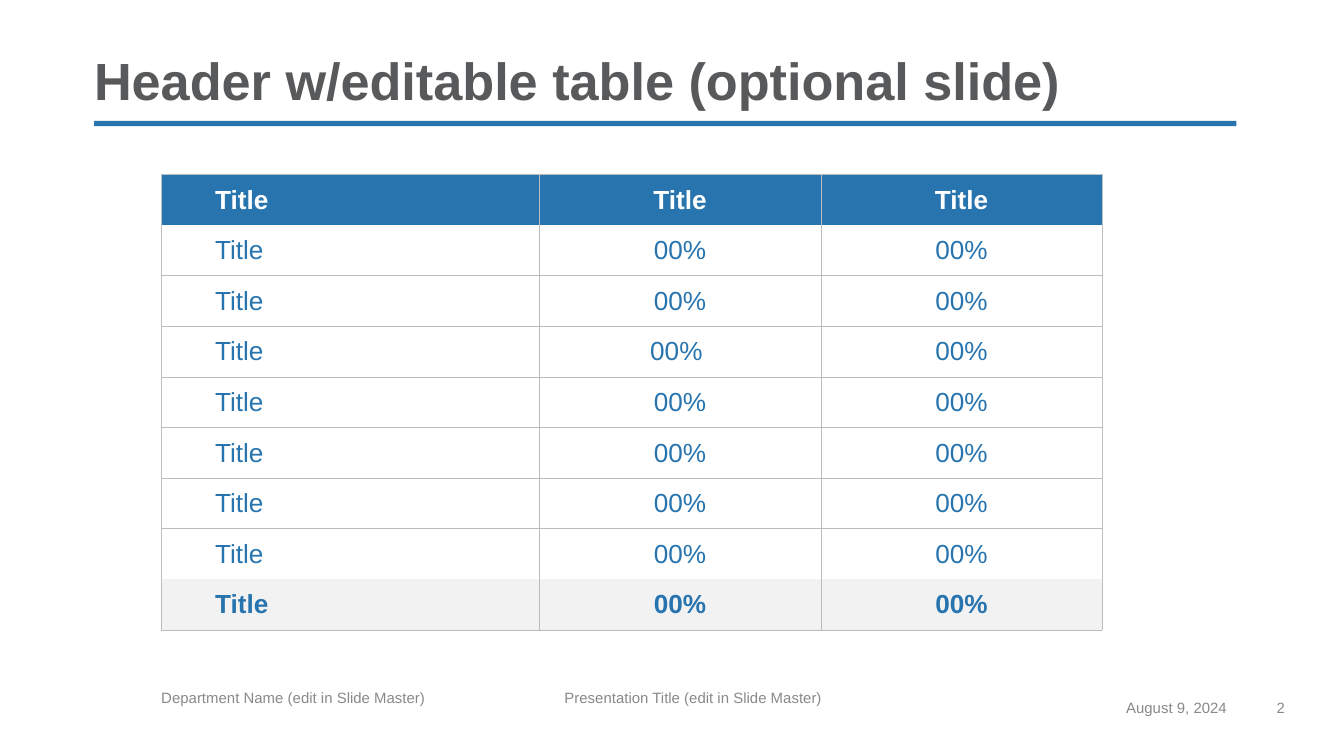
"""Build a slide with a header, an editable table and a footer."""
import pptx
import pptx.dml.color
import pptx.enum.shapes
import pptx.enum.text
import pptx.oxml
import pptx.oxml.ns
import pptx.util

Inches = pptx.util.Inches
Anchor = pptx.enum.text.MSO_ANCHOR
Align = pptx.enum.text.PP_ALIGN
hues = {"blue": "2774AE", "dark": "58595B", "gray": "898989",
        "line": "BBBCBE", "pale": "F2F2F2", "white": "FFFFFF"}


def color(name):
    return pptx.dml.color.RGBColor.from_string(hues[name])


def write(frame, text, size=8, hue="gray", bold=False, align=Align.LEFT, space=None):
    para = frame.paragraphs[0]
    para.alignment = align
    para.line_spacing = space
    run = para.add_run()
    run.text = text
    run.font.name = "Arial"
    run.font.size = pptx.util.Pt(size)
    run.font.bold = bold
    run.font.color.rgb = color(hue)


deck = pptx.Presentation()
deck.slide_width, deck.slide_height = Inches(10), Inches(10 * 9 / 16)
slide = deck.slides.add_slide(deck.slide_layouts[6])

rule = slide.shapes.add_shape(pptx.enum.shapes.MSO_SHAPE.RECTANGLE,
                              Inches(0.7), Inches(0.9), Inches(8.5), Inches(0.04))
rule.shadow.inherit = False
rule.fill.solid()
rule.fill.fore_color.rgb = color("blue")
rule.line.fill.background()

labels = [
    ("Header w/editable table (optional slide)", 0.7, 0.4, 8.5, 0.43,
     dict(size=28, hue="dark", bold=True, space=0.9)),
    ("Department Name (edit in Slide Master)", 1.2, 5.14, 2.9, 0.4, dict(space=0.9)),
    ("Presentation Title (edit in Slide Master)", 4.2, 5.14, 3.8, 0.4, dict(space=0.9)),
    ("August 9, 2024", 8.1, 5.2, 1.03, 0.4, dict(align=Align.RIGHT)),
    ("2", 9.5, 5.2, 0.5, 0.4, {}),
]
for text, left, top, width, height, style in labels:
    box = slide.shapes.add_textbox(Inches(left), Inches(top), Inches(width), Inches(height))
    frame = box.text_frame
    frame.word_wrap = True
    frame.margin_left = frame.margin_right = frame.margin_top = frame.margin_bottom = 0
    frame.vertical_anchor = Anchor.BOTTOM if "size" in style else Anchor.TOP
    write(frame, text, **style)

rows = [["Title"] * 3] + [["Title", "00%", "00%"] for _ in range(8)]
rows[3][1] = "00% "
last = len(rows) - 1
table = slide.shapes.add_table(len(rows), 3, Inches(1.2), Inches(1.3),
                               Inches(7), Inches(3.4)).table
table.first_row = table.horz_banding = False
for col, width in zip(table.columns, (2.81, 2.1, 2.09)):
    col.width = Inches(width)

for r, row in enumerate(rows):
    table.rows[r].height = Inches(3.39 / len(rows))
    fill = {0: "blue", last: "pale"}.get(r, "white")
    for c, text in enumerate(row):
        cell = table.cell(r, c)
        cell.vertical_anchor = Anchor.MIDDLE
        if c == 0:
            cell.margin_left = Inches(0.4)
        cell.fill.solid()
        cell.fill.fore_color.rgb = color(fill)
        write(cell.text_frame, text, size=14, hue="blue" if r else "white",
              bold=r in (0, last), align=Align.CENTER if c else Align.LEFT)
        shown = {"L": True, "R": True, "T": r not in (1, last), "B": r not in (0, last - 1)}
        for spot, (side, on) in enumerate(shown.items()):
            paint = (f'<a:solidFill><a:srgbClr val="{hues["line"]}"/></a:solidFill>'
                     if on else "<a:noFill/>")
            edge = pptx.oxml.parse_xml(
                f'<a:ln{side} {pptx.oxml.ns.nsdecls("a")} w="6350">{paint}</a:ln{side}>')
            cell._tc.get_or_add_tcPr().insert(spot, edge)

deck.save("out.pptx")
